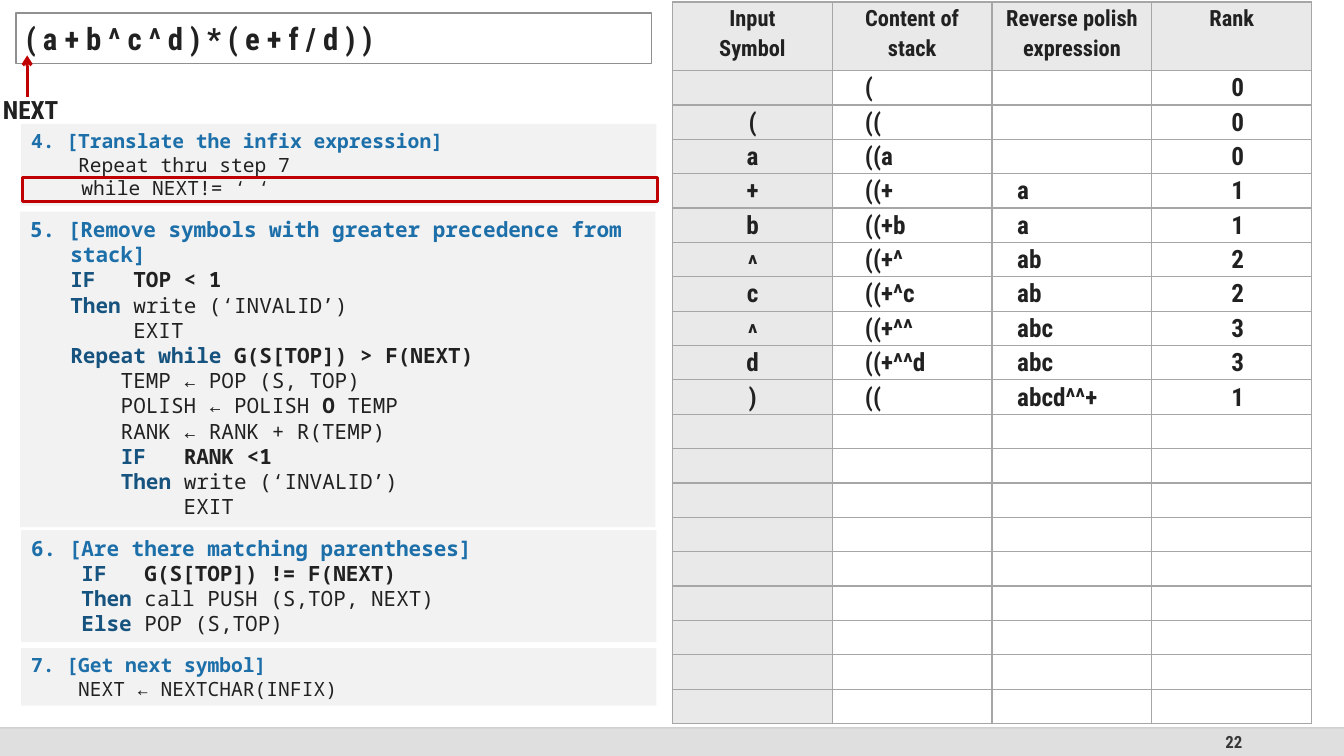
from pptx import Presentation
from pptx.dml.color import RGBColor
from pptx.enum.shapes import MSO_CONNECTOR, MSO_SHAPE
from pptx.enum.text import MSO_ANCHOR as Anchor, MSO_AUTO_SIZE as AutoSize, PP_ALIGN as Align
from pptx.oxml.ns import qn
from pptx.util import Inches, Pt
from lxml.etree import SubElement


class Theme:
    label_font, code_font = "Roboto Condensed", "Noto Sans Mono"
    expression_size, value_size, header_size, number_size = 22, 18, 16, 12
    white, panel, shaded, footer = "FFFFFF", "F2F2F2", "E9E9E9", "DFDFDF"
    frame, grid, footer_line, accent = "909090", "A6A6A6", "BFBFBF", "C00000"
    # span style: colour, bold
    spans = {
        "title": ("1D6FA9", True),
        "key": ("16537F", True),
        "bold": ("212121", True),
        "plain": ("212121", False),
        "number": ("373737", True),
    }


def write(frame, lines, font, size, align=Align.LEFT, indent=0):
    """Fill a frame with lines of (style, text) spans; the first line hangs by the indent."""
    for index, line in enumerate(lines):
        para = frame.paragraphs[0] if index == 0 else frame.add_paragraph()
        para.alignment = align
        if indent:
            properties = para._p.get_or_add_pPr()
            properties.set("marL", str(Inches(indent)))
            properties.set("indent", str(-Inches(indent) if index == 0 else 0))
        for style, text in line:
            span = para.add_run()
            span.text = text
            color, span.font.bold = Theme.spans[style]
            span.font.color.rgb = RGBColor.from_string(color)
            span.font.name, span.font.size = font, Pt(size)


def add_rectangle(left, top, width, height, fill=None, line=None, weight=1):
    box = page.shapes.add_shape(MSO_SHAPE.RECTANGLE, Inches(left), Inches(top), Inches(width), Inches(height))
    box.shadow.inherit = False
    for part, color in ((box.fill, fill), (box.line.fill, line)):
        if color:
            part.solid()
            part.fore_color.rgb = RGBColor.from_string(color)
        else:
            part.background()
    if line:
        box.line.width = Pt(weight)
    return box


deck = Presentation()
deck.slide_width, deck.slide_height = Inches(13.33), Inches(7.5)
page = deck.slides.add_slide(deck.slide_layouts[6])

# Footer with the page number
add_rectangle(0, 7.22, 13.33, 0.28, Theme.footer)
number = page.shapes.add_textbox(Inches(9.42), Inches(7.22), Inches(3), Inches(0.28)).text_frame
number.word_wrap = True
number.vertical_anchor = Anchor.MIDDLE
write(number, [[("number", "22")]], Theme.label_font, Theme.number_size, Align.RIGHT)

# Trace table
headers = ["Input\vSymbol", "Content of stack", "Reverse polish expression", "Rank"]
row_count = 20
row_height = int(Inches(6.48) / (row_count - 1))
table = page.shapes.add_table(row_count, len(headers), Inches(6.67), Inches(0.02), Inches(6.34), Inches(7.16)).table
table.first_row = table.horz_banding = False
for index, row in enumerate(table.rows):
    row.height = Inches(0.68) if index == 0 else row_height
    for column, cell in enumerate(row.cells):
        cell.margin_left = cell.margin_right = Inches(0.07)
        cell.margin_top = cell.margin_bottom = 0
        for side in ("a:lnL", "a:lnR", "a:lnT", "a:lnB"):
            border = SubElement(cell._tc.get_or_add_tcPr(), qn(side), w=str(Pt(1)))
            SubElement(SubElement(border, qn("a:solidFill")), qn("a:srgbClr"), val=Theme.grid)
        if index == 0 or column == 0:
            cell.fill.solid()
            cell.fill.fore_color.rgb = RGBColor.from_string(Theme.shaded)
        else:
            cell.fill.background()
for cell, header in zip(table.rows[0].cells, headers):
    para = cell.text_frame.paragraphs[0]
    para.text = header
    para.alignment, para.line_spacing = Align.CENTER, 1.15
    for span in para.runs:
        color, span.font.bold = Theme.spans["bold"]
        span.font.color.rgb = RGBColor.from_string(color)
        span.font.name, span.font.size = Theme.label_font, Pt(Theme.header_size)

# Infix expression and the pointer to its next symbol
expression = add_rectangle(0.16, 0.13, 6.3, 0.5, Theme.white, Theme.frame).text_frame
expression.vertical_anchor = Anchor.MIDDLE
write(expression, [[("bold", "( a + b ^ c ^ d ) * ( e + f / d ) )")]], Theme.label_font, Theme.expression_size)
pointer_label = page.shapes.add_textbox(Inches(-0.07), Inches(0.89), Inches(0.75), Inches(0.4)).text_frame
pointer_label.word_wrap = False
pointer_label.auto_size = AutoSize.SHAPE_TO_FIT_TEXT
write(pointer_label, [[("bold", "NEXT")]], Theme.label_font, Theme.value_size)

# Footer rule and pointer arrow: start, end, colour, weight, opacity, arrowhead
lines = [
    ((0, 7.22), (13.33, 7.22), Theme.footer_line, 1, 70, None),
    ((0.27, 0.96), (0.27, 0.55), Theme.accent, 2.25, 100, "arrow"),
]
for start, end, color, weight, opacity, arrowhead in lines:
    line = page.shapes.add_connector(MSO_CONNECTOR.STRAIGHT, *map(Inches, start + end))
    line.line.color.rgb = RGBColor.from_string(color)
    line.line.width = Pt(weight)
    stroke = line.line._get_or_add_ln()
    if opacity < 100:
        SubElement(stroke.find(".//" + qn("a:srgbClr")), qn("a:alpha"), val=str(opacity * 1000))
    if arrowhead:
        SubElement(stroke, qn("a:tailEnd"), type=arrowhead)
    SubElement(line._element.spPr, qn("a:effectLst"))

# Algorithm steps: left, top, height, type size, indent, lines
steps = [
    (0.21, 1.23, 0.81, 14, 0, [
        [("title", "4. [Translate the infix expression]")],
        [("plain", "    Repeat thru step 7")],
        [("plain", " \twhile NEXT!= ‘ ‘")],
    ]),
    (0.2, 2.1, 3.13, 15, 0.4, [
        [("title", "5. [Remove symbols with greater precedence from stack]")],
        [("key", "IF"), ("bold", "   TOP < 1")],
        [("key", "Then "), ("plain", "write (‘INVALID’)")],
        [("plain", "     EXIT")],
        [("key", "Repeat while"), ("bold", " G(S[TOP]) > F(NEXT)")],
        [("plain", "    TEMP ← POP (S, TOP)")],
        [("plain", "    POLISH ← POLISH "), ("bold", "O"), ("plain", " TEMP")],
        [("plain", "    RANK ← RANK + R(TEMP)")],
        [("plain", "    "), ("key", "IF"), ("bold", "\t RANK <1")],
        [("plain", "    "), ("key", "Then "), ("plain", "write (‘INVALID’)")],
        [("plain", "         EXIT")],
    ]),
    (0.21, 5.26, 1.11, 15, 0.5, [
        [("title", "6. [Are there matching parentheses]")],
        [("key", "IF"), ("bold", "   G(S[TOP]) != F(NEXT)")],
        [("key", "Then "), ("plain", "call PUSH (S,TOP, NEXT)")],
        [("key", "Else "), ("plain", "POP (S,TOP)")],
    ]),
    (0.21, 6.43, 0.57, 14, 0, [
        [("title", "7. [Get next symbol]")],
        [("plain", "    NEXT ← NEXTCHAR(INFIX)")],
    ]),
]
for left, top, height, size, indent, code in steps:
    panel = add_rectangle(left, top, 6.3, height, Theme.panel).text_frame
    panel.vertical_anchor = Anchor.TOP
    panel.auto_size = AutoSize.SHAPE_TO_FIT_TEXT
    write(panel, code, Theme.code_font, size, indent=indent)

# Trace values laid over the table rows
columns = [(7.07, 0.79, Align.CENTER), (8.48, 0.98, Align.LEFT), (9.99, 1.38, Align.LEFT), (11.94, 0.67, Align.CENTER)]
trace = [
    ("", "(", "", "0"),
    ("(", "((", "", "0"),
    ("a", "((a", "", "0"),
    ("+", "((+", "a", "1"),
    ("b", "((+b", "a", "1"),
    ("^", "((+^", "ab", "2"),
    ("c", "((+^c", "ab", "2"),
    ("^", "((+^^", "abc", "3"),
    ("d", "((+^^d", "abc", "3"),
    (")", "((", "abcd^^+", "1"),
]
for index, values in enumerate(trace):
    for (left, width, align), value in zip(columns, values):
        if not value:
            continue
        caret_drop = Inches(0.05) if value == "^" else 0
        top = Inches(0.66) + index * row_height + caret_drop
        label = page.shapes.add_textbox(Inches(left), top, Inches(width), Inches(0.4)).text_frame
        label.word_wrap = True
        label.auto_size = AutoSize.SHAPE_TO_FIT_TEXT
        write(label, [[("bold", value)]], Theme.label_font, Theme.value_size, align)

# Current line of the algorithm
add_rectangle(0.22, 1.76, 6.3, 0.24, line=Theme.accent, weight=2.25)

deck.save("out.pptx")
